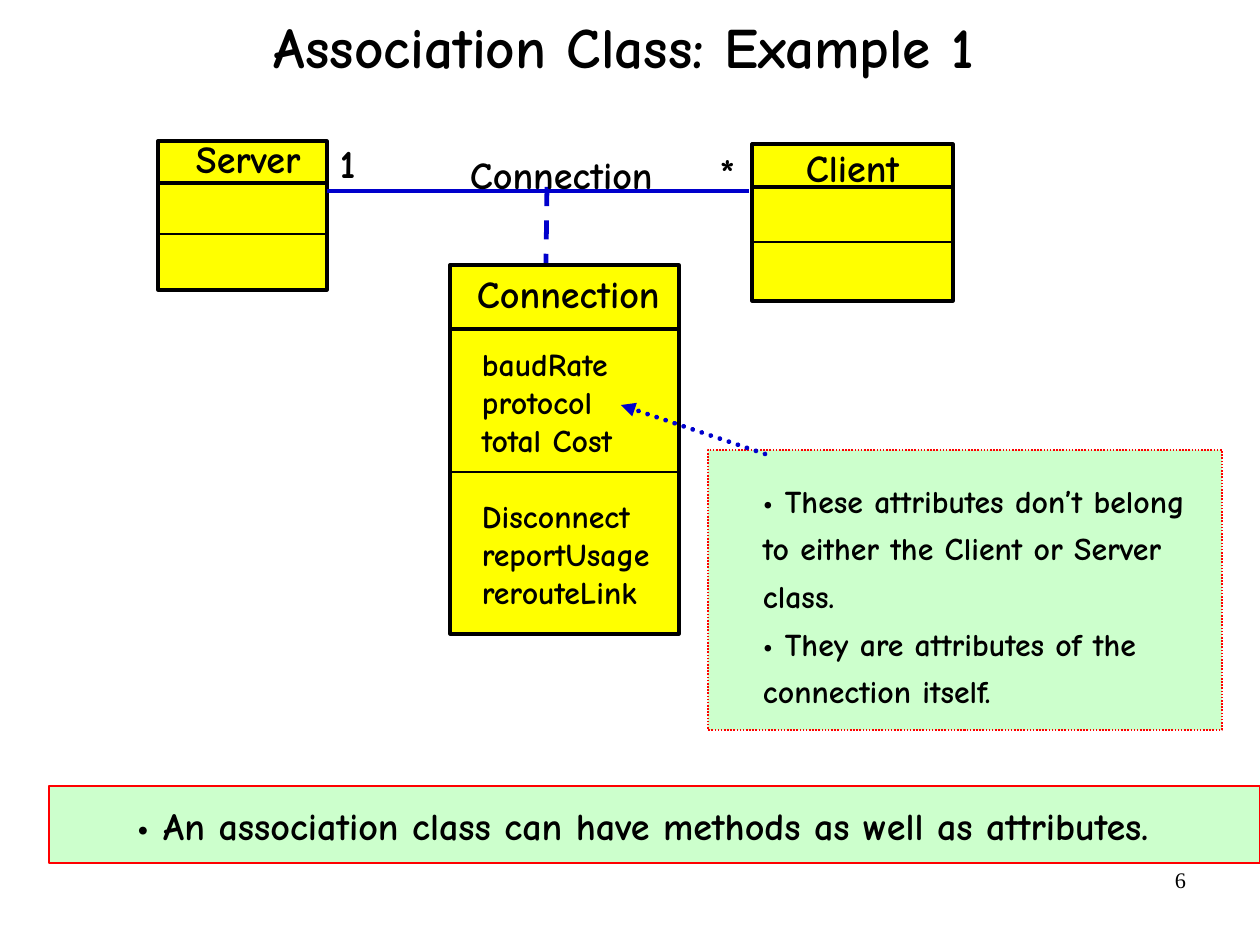
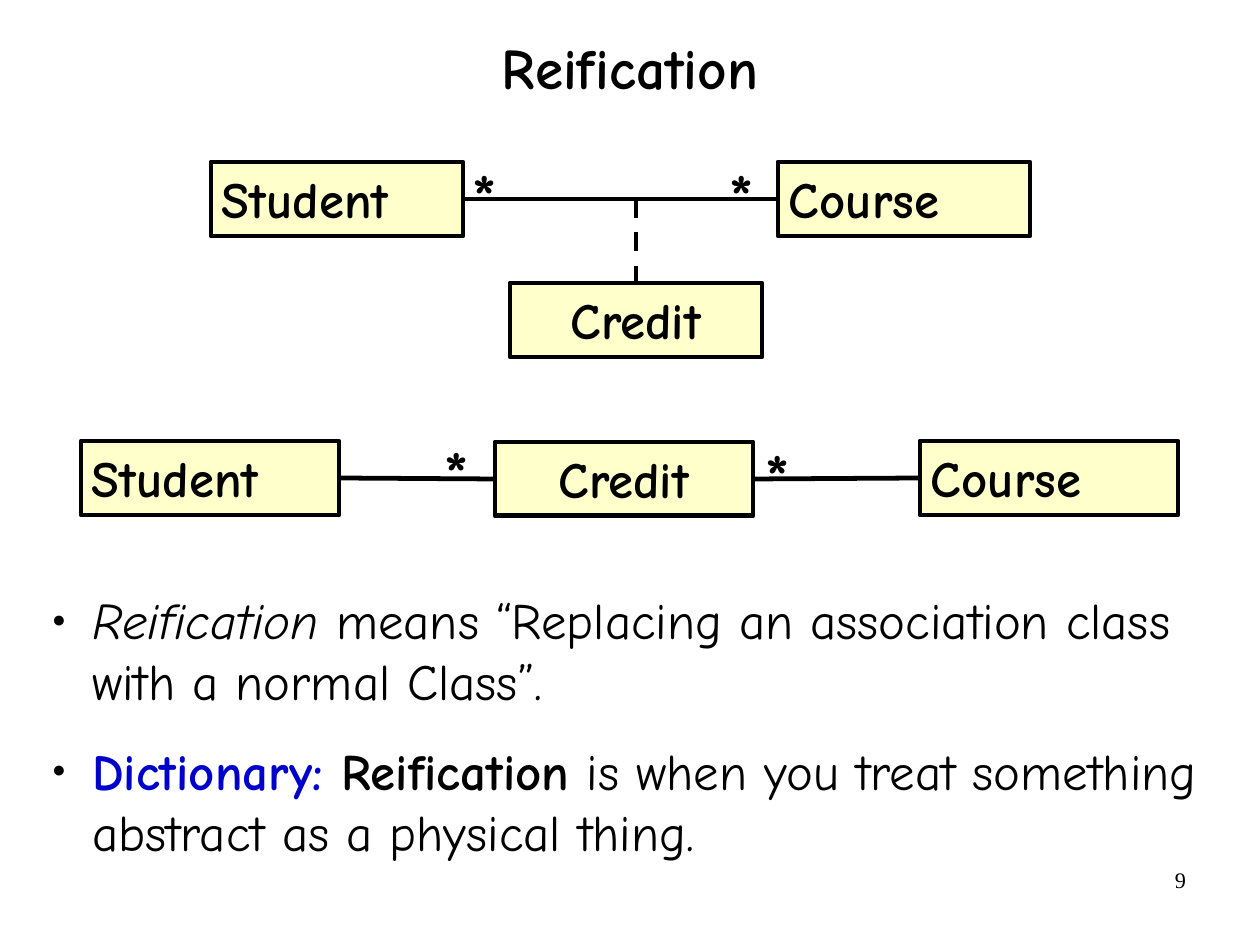
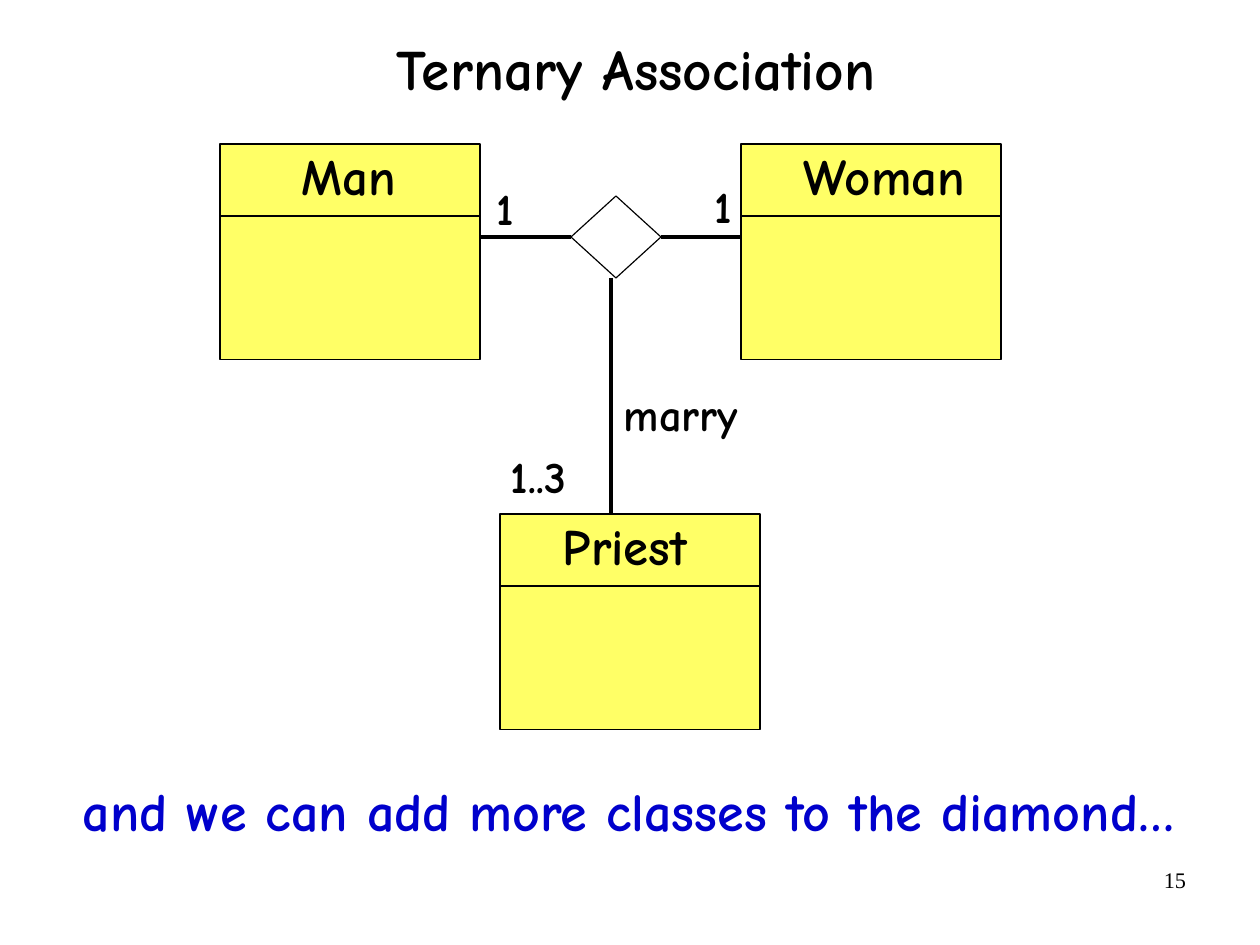
from lxml.etree import SubElement
from pptx import Presentation
from pptx.dml.color import RGBColor
from pptx.enum.dml import MSO_LINE
from pptx.enum.shapes import MSO_CONNECTOR, MSO_SHAPE
from pptx.enum.text import MSO_ANCHOR, MSO_AUTO_SIZE, PP_ALIGN
from pptx.oxml.ns import qn
from pptx.util import Pt

PX = 8000
FACE = "Comic Neue"
BLACK, BLUE, RED = "000000", "0000CC", "FF0000"
GREEN, YELLOW, CREAM, LEMON = "CCFFCC", "FFFF00", "FFFFCC", "FFFF66"
tone = RGBColor.from_string


def box(slide, rect, text="", size=24, fill=None, edge=None, thick=1, kind=MSO_SHAPE.RECTANGLE, ink=BLACK):
    place = [n * PX for n in rect]
    if edge:
        shape = slide.shapes.add_shape(kind, *place)
        shape.shadow.inherit = False
        shape.line.color.rgb = tone(edge)
        shape.line.width = Pt(thick)
        if fill:
            shape.fill.solid()
            shape.fill.fore_color.rgb = tone(fill)
        else:
            shape.fill.background()
    else:
        shape = slide.shapes.add_textbox(*place)
    frame = shape.text_frame
    frame.word_wrap = True
    frame.vertical_anchor = MSO_ANCHOR.TOP
    frame.margin_left = frame.margin_right = 11 * PX
    frame.margin_top = frame.margin_bottom = 6 * PX
    if text:
        frame.text = text
    for para in frame.paragraphs:
        para.alignment = PP_ALIGN.LEFT
        for run in para.runs:
            run.font.name, run.font.size, run.font.bold = FACE, Pt(size), True
            run.font.color.rgb = tone(ink)
    return shape


def link(slide, ends, thick, ink=BLACK, dash=None, arrow=False):
    wire = slide.shapes.add_connector(MSO_CONNECTOR.STRAIGHT, *[n * PX for n in ends])
    wire.line.color.rgb = tone(ink)
    wire.line.width = Pt(thick)
    if dash:
        wire.line.dash_style = dash
    props = wire._element.spPr
    if arrow:
        edge = props.find(qn("a:ln"))
        edge.set("cap", "rnd")
        SubElement(edge, qn("a:tailEnd"), type="triangle")
    SubElement(props, qn("a:effectLst"))
    return wire


deck = Presentation()
deck.slide_width, deck.slide_height = 1260 * PX, 945 * PX
slides = []
for title, number, layout, rect in [
    ("Association Class: Example 1", 6, 5, (87, 0, 1074, 101)),
    ("Reification", 9, 1, (93, -7, 1074, 157)),
    ("Ternary Association", 15, 5, (98, -6, 1076, 157)),
]:
    slide = deck.slides.add_slide(deck.slide_layouts[layout])
    slides.append(slide)
    head = slide.shapes.title
    head.left, head.top, head.width, head.height = [n * PX for n in rect]
    frame = head.text_frame
    frame.text = title
    frame.auto_size = MSO_AUTO_SIZE.NONE
    frame.vertical_anchor = MSO_ANCHOR.MIDDLE
    frame.margin_left = frame.margin_right = frame.margin_top = frame.margin_bottom = 0
    para = frame.paragraphs[0]
    para.alignment = PP_ALIGN.CENTER
    para.line_spacing = 0.88
    font = para.runs[0].font
    font.name, font.size, font.bold = FACE, Pt(36), True
    font.color.rgb = tone(BLACK)
    para = box(slide, (903, 860, 294, 65), str(number), 14).text_frame.paragraphs[0]
    para.alignment = PP_ALIGN.RIGHT
    para.runs[0].font.name, para.runs[0].font.bold = "Times New Roman", False

first, second, third = slides

box(first, (49, 786, 1211, 77), edge=RED, fill=GREEN)
box(first, (126, 796, 1080, 58), "• An association class can have methods as well as attributes.")
panel = box(first, (708, 450, 514, 280), edge=RED, fill=GREEN)
panel.line.dash_style = MSO_LINE.ROUND_DOT
note = box(first, (752, 466, 457, 246), "• These attributes don’t belong to either the Client or Server class.\n"
           "• They are attributes of the connection itself.", 20)
for para in note.text_frame.paragraphs:
    para.line_spacing = 1.25

for name, rect, rules, spot in [
    ("Server", (158, 141, 169, 149), (183, 234), (185, 129)),
    ("Client", (752, 144, 201, 157), (187, 242), (795, 138)),
    ("Connection", (450, 265, 229, 369), (329, 472), (466, 264)),
]:
    left, top, width, height = rect
    box(first, rect, fill=YELLOW, edge=BLACK, thick=2)
    for level, thick in zip(rules, (2, 1)):
        link(first, (left, level, left + width, level), thick)
    box(first, (*spot, 220, 58), name)
link(first, (327, 191, 749, 191), 3, BLUE)
link(first, (547, 187, 546, 263), 3, BLUE, MSO_LINE.DASH)
for text, rect, size in [
    ("baudRate\nprotocol\ntotal Cost", (471, 339, 206, 127), 20),
    ("Disconnect\nreportUsage\nrerouteLink", (471, 491, 206, 127), 20),
    ("Connection", (459, 145, 220, 58), 24),
    ("1", (329, 133, 50, 60), 25),
    ("*", (709, 142, 49, 60), 25),
]:
    box(first, rect, text, size)
link(first, (765, 454, 621, 405), 3, BLUE, MSO_LINE.ROUND_DOT, True)

cards = []
for name, left, top, width in [
    ("Student", 211, 162, 252), ("Course", 778, 162, 252), ("Credit", 510, 283, 252),
    ("Student", 81, 441, 258), ("Credit", 495, 442, 258), ("Course", 920, 441, 258),
]:
    card = box(second, (left, top, width, 74), name, 32, CREAM, BLACK, 3)
    if name == "Credit":
        card.text_frame.paragraphs[0].alignment = PP_ALIGN.CENTER
    cards.append(card)
for start, end, ends in [
    (0, 1, (463, 199, 778, 199)),
    (3, 4, (339, 478, 495, 479)),
    (4, 5, (753, 479, 920, 478)),
]:
    wire = link(second, ends, 3)
    wire.begin_connect(cards[start], 3)
    wire.end_connect(cards[end], 1)
link(second, (636, 199, 636, 283), 3, dash=MSO_LINE.DASH).end_connect(cards[2], 0)
for left, top in [(462, 150), (719, 150), (434, 427), (755, 430)]:
    box(second, (left, top, 46, 88), "*", 40)

body = second.placeholders[1]
body.left, body.top, body.width, body.height = [n * PX for n in (52, 589, 1158, 267)]
frame = body.text_frame
frame.auto_size = MSO_AUTO_SIZE.NONE
frame.vertical_anchor = MSO_ANCHOR.TOP
frame.margin_left = frame.margin_right = frame.margin_top = frame.margin_bottom = 0
frame.text = "\n"
for para, parts in zip(frame.paragraphs, [
    [("Reification ", BLACK, False, True),
     ("means “Replacing an association class with a normal Class”.", BLACK, False, False)],
    [("Dictionary: ", BLUE, True, False), ("Reification", BLACK, True, False),
     (" is when you treat something abstract as a physical thing.", BLACK, False, False)],
]):
    para.line_spacing = 1.0
    para.space_before = Pt(0)
    para.space_after = Pt(18)
    props = para._p.get_or_add_pPr()
    props.set("marL", str(40 * PX))
    props.set("indent", str(-40 * PX))
    SubElement(SubElement(props, qn("a:buClr")), qn("a:srgbClr"), val=BLACK)
    SubElement(props, qn("a:buSzPct"), val="45000")
    SubElement(props, qn("a:buChar"), char="●")
    for text, ink, bold, slant in parts:
        run = para.add_run()
        run.text = text
        font = run.font
        font.name, font.size, font.bold, font.italic = FACE, Pt(32), bold, slant
        font.color.rgb = tone(ink)

for name, left, top, inset in [("Man", 220, 144, 71), ("Woman", 741, 144, 52), ("Priest", 500, 514, 52)]:
    box(third, (left, top, 260, 216), fill=LEMON, edge=BLACK, thick=0.75)
    link(third, (left, top + 72, left + 260, top + 72), 0.75)
    box(third, (left + inset, top - 5, 206, 73), name, 32)
gem = box(third, (571, 196, 90, 82), edge=BLACK, thick=0.75, kind=MSO_SHAPE.DIAMOND)
link(third, (480, 237, 571, 237), 3).end_connect(gem, 1)
link(third, (741, 237, 661, 237), 3).end_connect(gem, 3)
link(third, (611, 278, 611, 514), 3)
for text, left, top, width in [("1", 486, 175, 51), ("1", 704, 173, 51), ("1..3", 500, 443, 89), ("marry", 613, 381, 151)]:
    box(third, (left, top, width, 66), text, 28)
box(third, (72, 772, 1143, 78), "and we can add more classes to the diamond…", 34, ink=BLUE)

deck.save("out.pptx")
